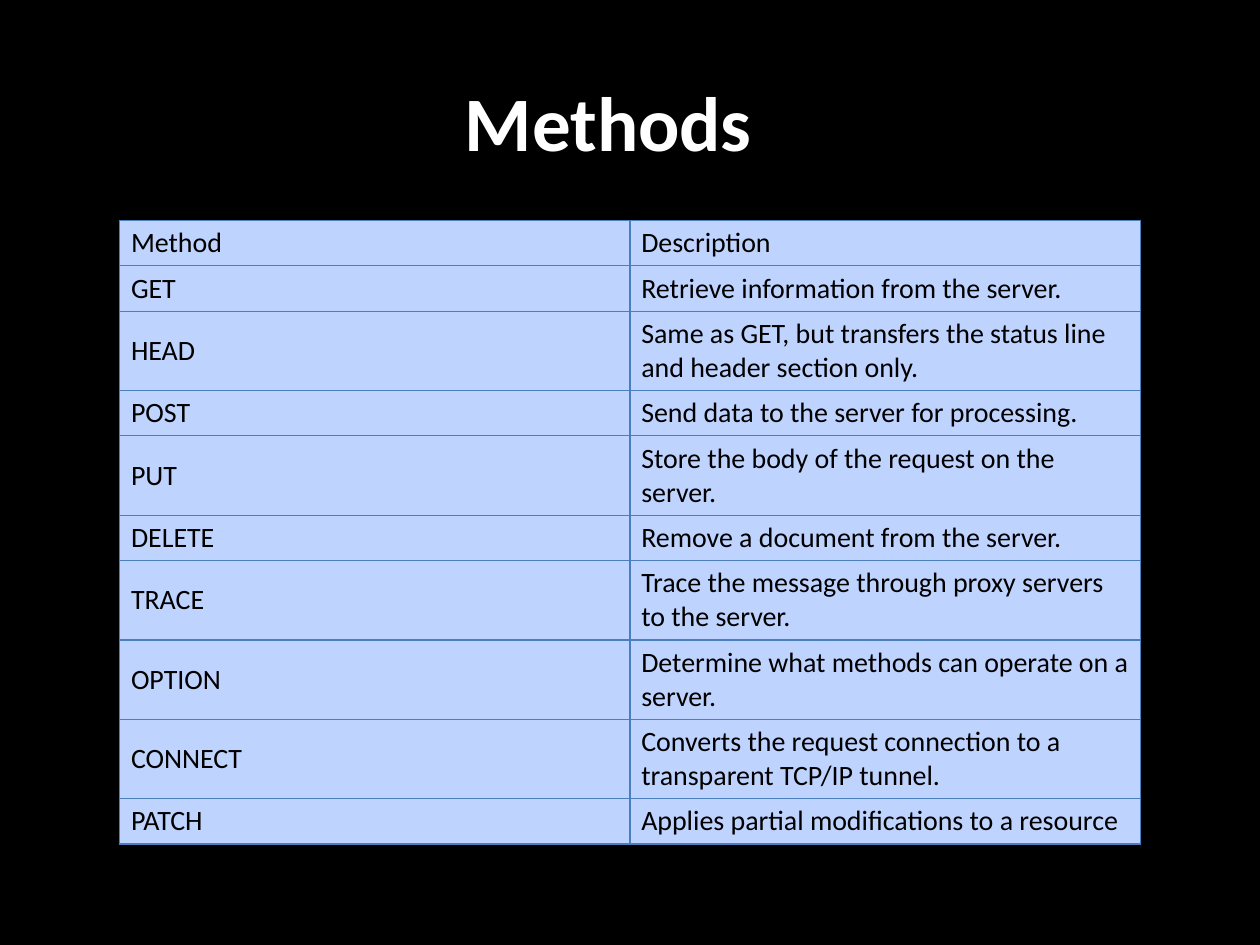
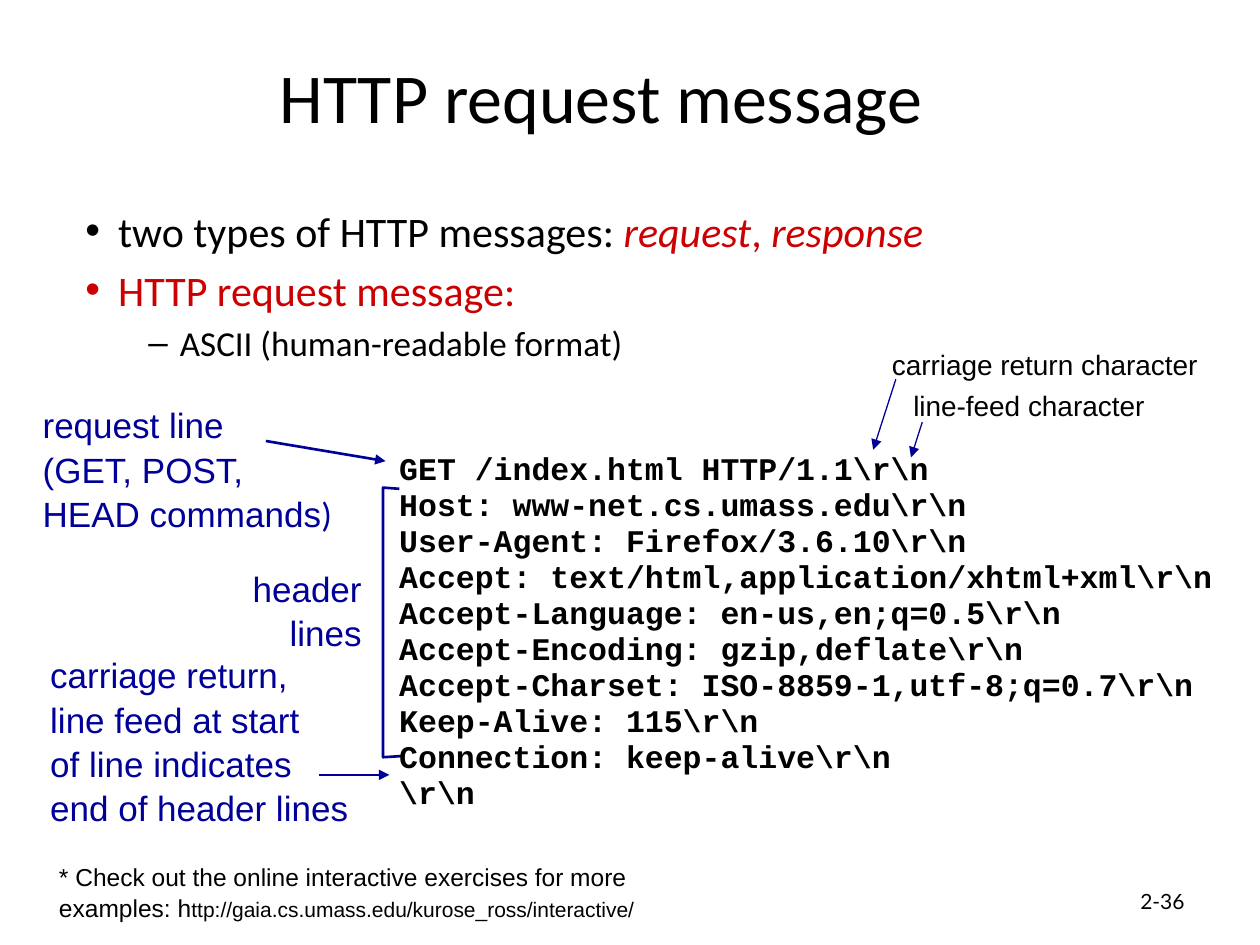
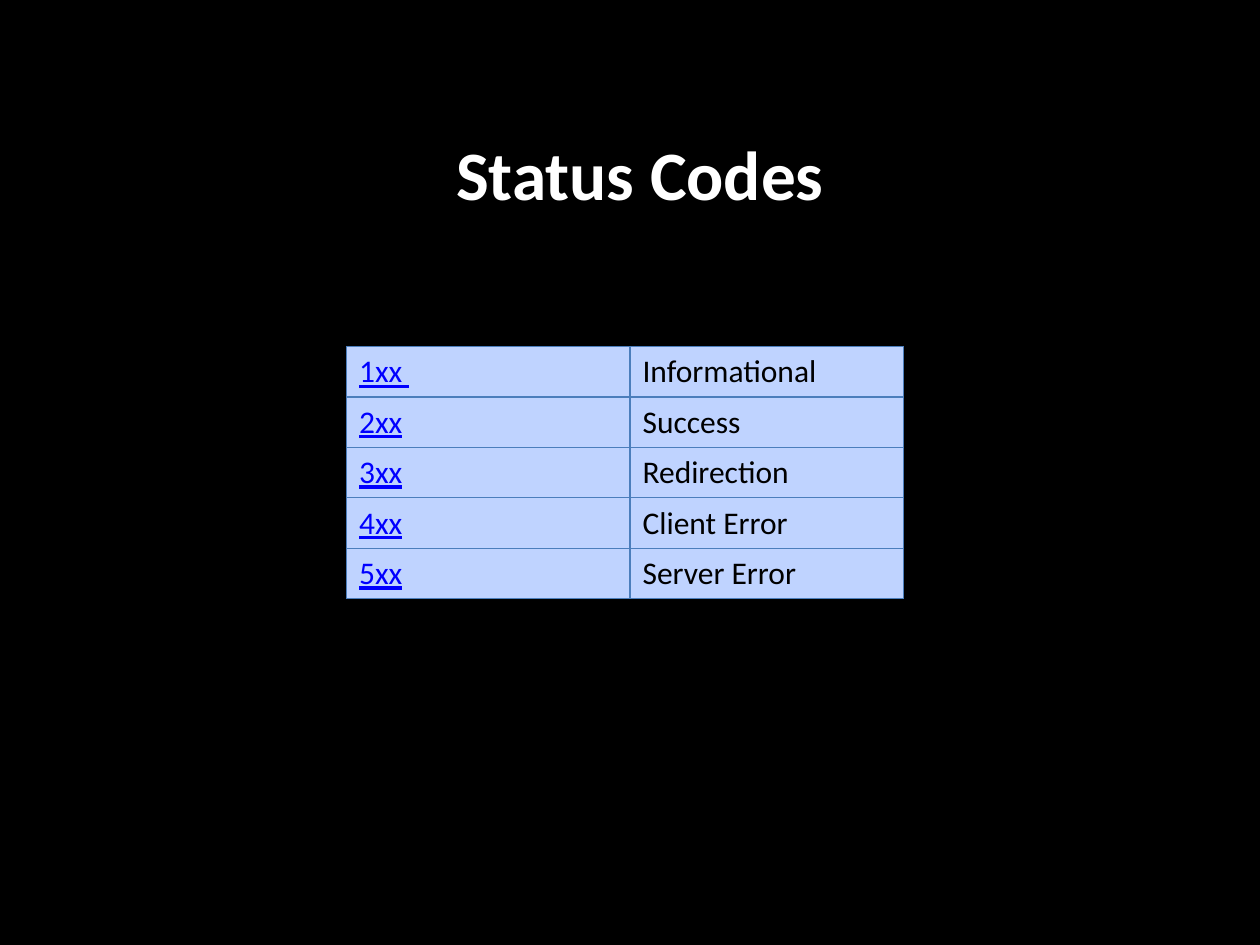
"""Build three slides about HTTP methods, request messages and status codes."""
import dataclasses

import lxml.etree
import pptx
import pptx.dml.color
import pptx.enum.dml
import pptx.enum.shapes
import pptx.enum.text
import pptx.oxml.ns
import pptx.util

PX = 9144
ALIGN = pptx.enum.text.PP_ALIGN
ANCHOR = pptx.enum.text.MSO_ANCHOR


@dataclasses.dataclass(frozen=True)
class Theme:
    """Colours, fonts and type sizes of the deck."""
    dark: str = "000000"
    light: str = "FFFFFF"
    cell: str = "BFD3FF"
    rule: str = "4B7EBC"
    link: str = "0000FF"
    note: str = "000099"
    red: str = "CC0000"
    main: str = "Calibri"
    sans: str = "Arial"
    mono: str = "Courier New"
    page: str = "Lato"
    title: int = 40
    body: int = 24
    label: int = 20
    code: int = 18
    small: int = 16
    foot: int = 14
    tiny: int = 12
    lead: float = 1.05
    tight: float = 0.95


THEME = Theme()

METHODS = [
    ("Method", "Description"),
    ("GET", "Retrieve information from the server."),
    ("HEAD", "Same as GET, but transfers the status line and header section only."),
    ("POST", "Send data to the server for processing."),
    ("PUT", "Store the body of the request on the server."),
    ("DELETE", "Remove a document from the server."),
    ("TRACE", "Trace the message through proxy servers to the server."),
    ("OPTION", "Determine what methods can operate on a server."),
    ("CONNECT", "Converts the request connection to a transparent TCP/IP tunnel."),
    ("PATCH", "Applies partial modifications to a resource"),
]
TALL = {"HEAD", "PUT", "TRACE", "OPTION", "CONNECT"}

CODES = [
    ("1xx ", "Informational"),
    ("2xx", "Success"),
    ("3xx", "Redirection"),
    ("4xx", "Client Error"),
    ("5xx", "Server Error"),
]

REQUEST = r"""GET /index.html HTTP/1.1\r\n
Host: www-net.cs.umass.edu\r\n
User-Agent: Firefox/3.6.10\r\n
Accept: text/html,application/xhtml+xml\r\n
Accept-Language: en-us,en;q=0.5\r\n
Accept-Encoding: gzip,deflate\r\n
Accept-Charset: ISO-8859-1,utf-8;q=0.7\r\n
Keep-Alive: 115\r\n
Connection: keep-alive\r\n
\r\n"""


def px(*nums):
    """Turn px lengths into EMU."""
    return [pptx.util.Emu(num * PX) for num in nums]


def rgb(code):
    """Return a colour from its hex code."""
    return pptx.dml.color.RGBColor.from_string(code)


def node(root, tag, **attrs):
    """Append a drawing element to a parent."""
    return lxml.etree.SubElement(root, pptx.oxml.ns.qn(tag), **attrs)


def style(font, face, size, color, bold=False):
    """Set the face, size, colour and weight of a font."""
    font.name, font.size, font.bold = face, pptx.util.Pt(size), bold
    font.color.rgb = rgb(color)


def page(deck, color):
    """Add a blank slide with a plain background."""
    slide = deck.slides.add_slide(deck.slide_layouts[6])
    slide.background.fill.solid()
    slide.background.fill.fore_color.rgb = rgb(color)
    return slide


def text(slide, box, words, face, size, color, bold=False,
         align=ALIGN.LEFT, anchor=ANCHOR.TOP, lead=1.0, wrap=True):
    """Place styled text in a box and return its frame."""
    frame = slide.shapes.add_textbox(*px(*box)).text_frame
    frame.word_wrap, frame.vertical_anchor = wrap, anchor
    if not wrap:
        frame.auto_size = pptx.enum.text.MSO_AUTO_SIZE.SHAPE_TO_FIT_TEXT
    frame.text = words
    for para in frame.paragraphs:
        para.alignment, para.line_spacing = align, lead
        for run in para.runs:
            style(run.font, face, size, color, bold)
    return frame


def title(slide, box, words, color, size=THEME.title, bold=False):
    """Place a centred slide title."""
    return text(slide, box, words, THEME.main, size, color, bold,
                ALIGN.CENTER, ANCHOR.MIDDLE)


def label(slide, box, words, align=ALIGN.LEFT, size=THEME.label, color=THEME.note):
    """Place an unwrapped label beside the code."""
    return text(slide, box, words, THEME.sans, size, color,
                align=align, lead=THEME.lead, wrap=False)


def edge(cell):
    """Draw the four borders of a cell."""
    props = cell._tc.get_or_add_tcPr()
    for side in ("a:lnL", "a:lnR", "a:lnT", "a:lnB"):
        line = node(props, side, w=str(pptx.util.Pt(0.75)))
        node(node(line, "a:solidFill"), "a:srgbClr", val=THEME.rule)


def table(slide, spot, cols, rows, data, size, inset, linked=False):
    """Place a two-column table with a uniform fill."""
    frame = slide.shapes.add_table(
        len(rows), len(cols), *px(*spot, sum(cols), sum(rows)))
    grid = frame.table
    grid.first_row = grid.horz_banding = False
    for col, wide in zip(grid.columns, px(*cols)):
        col.width = wide
    for row, high, words in zip(grid.rows, px(*rows), data):
        row.height = high
        for num, (cell, word) in enumerate(zip(row.cells, words)):
            edge(cell)
            cell.fill.solid()
            cell.fill.fore_color.rgb = rgb(THEME.cell)
            cell.vertical_anchor = ANCHOR.MIDDLE
            side, top = px(*inset)
            cell.margin_left = cell.margin_right = side
            cell.margin_top = cell.margin_bottom = top
            cell.text = word
            link = linked and num == 0
            font = cell.text_frame.paragraphs[0].runs[0].font
            style(font, THEME.main, size, THEME.link if link else THEME.dark)
            font.underline = link


def arrow(slide, start, end, width):
    """Draw an arrow between two points."""
    line = slide.shapes.add_connector(
        pptx.enum.shapes.MSO_CONNECTOR.STRAIGHT, *px(*start, *end))
    line.line.color.rgb = rgb(THEME.note)
    line.line.width = pptx.util.Pt(width)
    node(line.line._get_or_add_ln(), "a:tailEnd", type="triangle")
    node(line._element.spPr, "a:effectLst")


def brace(slide, box):
    """Draw the open bracket that spans the header lines."""
    left, top, wide, high = box
    path = slide.shapes.build_freeform(left + wide - 3, top + 1, scale=PX)
    path.add_line_segments(
        [(left, top), (left, top + high), (left + wide, top + high - 1)], close=False)
    shape = path.convert_to_shape()
    shape.shadow.inherit = False
    shape.fill.background()
    shape.line.color.rgb = rgb(THEME.note)
    shape.line.width = pptx.util.Pt(1.5)


def points(slide, box):
    """Place the bulleted points."""
    ink, red = THEME.dark, THEME.red
    items = [
        (26, 26, "•", THEME.body, [
            ("two types of HTTP messages: ", ink, False), ("request", red, True),
            (", ", red, False), ("response", red, True)]),
        (26, 26, "•", THEME.body, [("HTTP request message:", red, False)]),
        (75, 25, "–", THEME.label, [("ASCII (human-readable format)", ink, False)]),
    ]
    frame = slide.shapes.add_textbox(*px(*box)).text_frame
    frame.word_wrap = True
    for num, (left, hang, mark, size, parts) in enumerate(items):
        para = frame.add_paragraph() if num else frame.paragraphs[0]
        props = para._p.get_or_add_pPr()
        props.set("marL", str(left * PX))
        props.set("indent", str(-hang * PX))
        node(props, "a:buFont", typeface=THEME.sans)
        node(props, "a:buChar", char=mark)
        if num:
            para.space_before = pptx.util.Pt(size / 5)
        for words, color, slant in parts:
            run = para.add_run()
            run.text = words
            style(run.font, THEME.main, size, color)
            run.font.italic = slant


def notes(slide):
    """Place the labels around the request and their arrows."""
    first = label(slide, (24, 314, 250, 110), "request line\n(GET, POST,\nHEAD commands")
    run = first.paragraphs[-1].add_run()
    run.text = ")"
    style(run.font, THEME.main, THEME.label, THEME.note)
    label(slide, (190, 444, 107, 77), "header\nlines", ALIGN.RIGHT)
    last = label(slide, (30, 516, 259, 141),
                 "carriage return,\nline feed at start\nof line indicates\nend of header lines")
    last.paragraphs[0].line_spacing = THEME.tight
    for box, words in (((698, 270, 264, 37), "carriage return character"),
                       ((715, 302, 204, 37), "line-feed character")):
        label(slide, box, words, size=THEME.small, color=THEME.dark)
    for start, end, width in (((211, 350), (306, 366), 1.5),
                              ((253, 615), (309, 615), 1.5),
                              ((711, 301), (693, 357), 0.75),
                              ((732, 335), (723, 363), 0.75)):
        arrow(slide, start, end, width)


def footer(slide):
    """Place the footnote and the page number."""
    frame = text(slide, (37, 678, 493, 57),
                 "* Check out the online interactive exercises for more examples: h",
                 THEME.sans, THEME.foot, THEME.dark, lead=THEME.lead)
    run = frame.paragraphs[0].add_run()
    run.text = "ttp://gaia.cs.umass.edu/kurose_ross/interactive/"
    style(run.font, THEME.sans, THEME.tiny, THEME.dark)
    text(slide, (717, 695, 233, 40), "2-36", THEME.page, THEME.tiny, THEME.dark,
         align=ALIGN.RIGHT, anchor=ANCHOR.MIDDLE)


def methods(deck):
    """Build the slide of request methods."""
    slide = page(deck, THEME.dark)
    title(slide, (33, 33, 900, 125), "Methods", THEME.light, 44, True)
    rows = [63 if name in TALL else 36 for name, _ in METHODS]
    table(slide, (95, 175), (405, 405), rows, METHODS, THEME.small, (9, 4))


def message(deck):
    """Build the slide of the annotated request."""
    slide = page(deck, THEME.light)
    title(slide, (52, 26, 850, 100), "HTTP request message", THEME.dark)
    points(slide, (58, 158, 850, 508))
    brace(slide, (304, 387, 16, 214))
    text(slide, (307, 354, 672, 283), REQUEST, THEME.mono, THEME.code, THEME.dark,
         True, lead=THEME.tight, wrap=False)
    notes(slide)
    footer(slide)


def status(deck):
    """Build the slide of status codes."""
    slide = page(deck, THEME.dark)
    frame = title(slide, (58, 108, 900, 125), "Status Codes", THEME.light, 39.6, True)
    frame.margin_top, frame.margin_bottom = px(0, 67)
    table(slide, (275, 275), (225, 217), [40] * len(CODES), CODES,
          THEME.code, (10, 5), True)


def main():
    """Build and save the deck."""
    deck = pptx.Presentation()
    deck.slide_width, deck.slide_height = px(1000, 750)
    for build in (methods, message, status):
        build(deck)
    deck.save("out.pptx")


if __name__ == "__main__":
    main()
